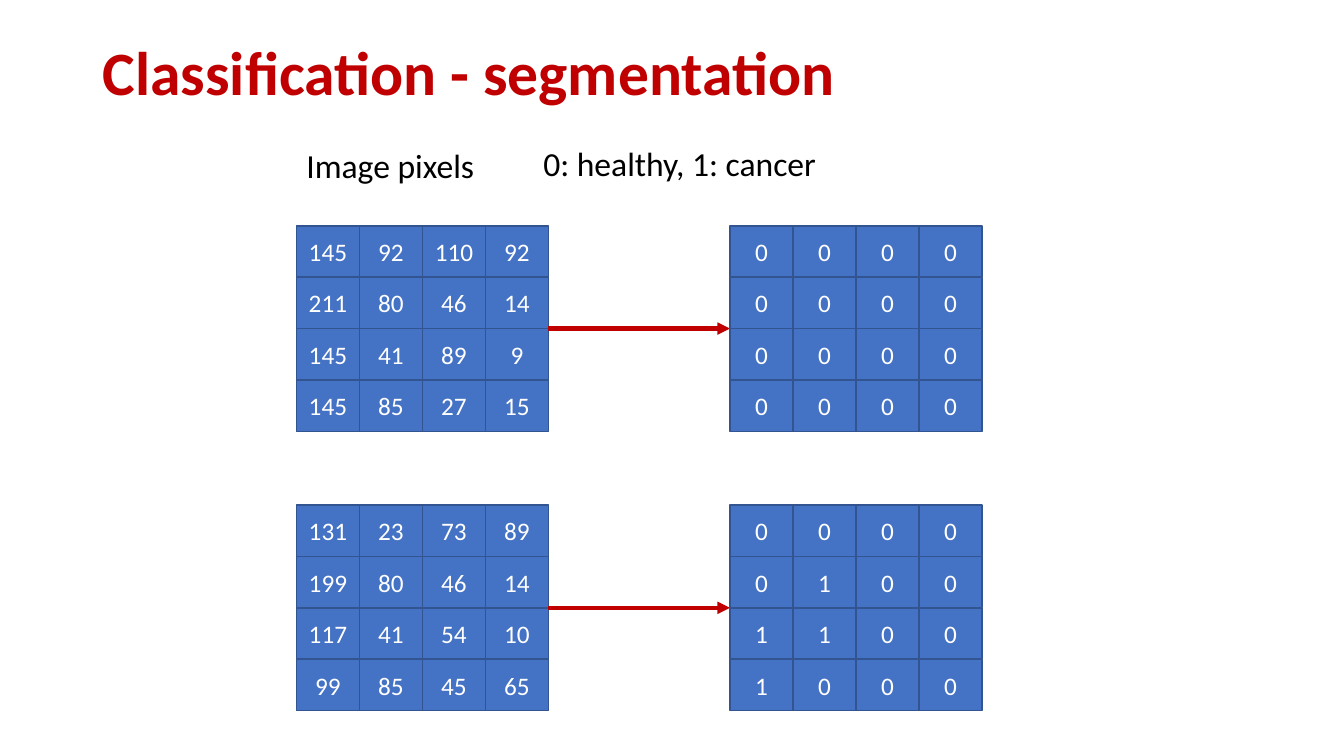
import pptx
import pptx.util
import pptx.dml.color
import pptx.enum.shapes
import pptx.enum.text
import pptx.oxml
import pptx.oxml.ns

Inches = pptx.util.Inches
Pt = pptx.util.Pt
RGBColor = pptx.dml.color.RGBColor
Align = pptx.enum.text.PP_ALIGN
Anchor = pptx.enum.text.MSO_ANCHOR

RED = RGBColor(0xC0, 0x00, 0x00)
BLUE = RGBColor(0x44, 0x72, 0xC4)
NAVY = RGBColor(0x32, 0x54, 0x91)
WHITE = RGBColor(0xFF, 0xFF, 0xFF)
BLACK = RGBColor(0x00, 0x00, 0x00)

CELL_W = 0.625
CELL_H = 0.51

PAIRS = [
    (
        [[145, 92, 110, 92], [211, 80, 46, 14], [145, 41, 89, 9], [145, 85, 27, 15]],
        [[0, 0, 0, 0], [0, 0, 0, 0], [0, 0, 0, 0], [0, 0, 0, 0]],
    ),
    (
        [[131, 23, 73, 89], [199, 80, 46, 14], [117, 41, 54, 10], [99, 85, 45, 65]],
        [[0, 0, 0, 0], [0, 1, 0, 0], [1, 1, 0, 0], [1, 0, 0, 0]],
    ),
]


def style(para, size, color, align=Align.LEFT, bold=False):
    para.alignment = align
    para.font.name = "Calibri"
    para.font.size = Pt(size)
    para.font.color.rgb = color
    para.font.bold = bold


def add_title(slide, left, top, width, height):
    title = slide.shapes.title
    title.left, title.top = Inches(left), Inches(top)
    title.width, title.height = Inches(width), Inches(height)
    frame = title.text_frame
    frame.text = "Classification - segmentation"
    frame.vertical_anchor = Anchor.MIDDLE
    para = frame.paragraphs[0]
    para.line_spacing = 0.9
    style(para, 44, RED, bold=True)


def add_label(slide, text, left, top, width, height):
    box = slide.shapes.add_textbox(
        Inches(left), Inches(top), Inches(width), Inches(height))
    frame = box.text_frame
    frame.text = text
    frame.word_wrap = False
    frame.auto_size = pptx.enum.text.MSO_AUTO_SIZE.SHAPE_TO_FIT_TEXT
    style(frame.paragraphs[0], 24, BLACK)


def add_grid(slide, rows, left, top):
    for i, row in enumerate(rows):
        for j, value in enumerate(row):
            cell = slide.shapes.add_shape(
                pptx.enum.shapes.MSO_SHAPE.RECTANGLE,
                Inches(left + j * CELL_W), Inches(top + i * CELL_H),
                Inches(CELL_W), Inches(CELL_H))
            cell.shadow.inherit = False
            cell.fill.solid()
            cell.fill.fore_color.rgb = BLUE
            cell.line.color.rgb = NAVY
            cell.line.width = Pt(1)
            frame = cell.text_frame
            frame.text = str(value)
            frame.vertical_anchor = Anchor.MIDDLE
            style(frame.paragraphs[0], 18, WHITE, Align.CENTER)


def add_arrow(slide, start, end, y):
    arrow = slide.shapes.add_connector(
        pptx.enum.shapes.MSO_CONNECTOR.STRAIGHT,
        Inches(start), Inches(y), Inches(end), Inches(y))
    arrow.line.color.rgb = RED
    arrow.line.width = Pt(3)
    props = arrow._element.spPr
    line = props.find(pptx.oxml.ns.qn("a:ln"))
    space = pptx.oxml.ns.nsdecls("a")
    line.append(pptx.oxml.parse_xml(f'<a:tailEnd {space} type="triangle"/>'))
    props.append(pptx.oxml.parse_xml(f"<a:effectLst {space}/>"))


def add_pair(slide, pixels, labels, left, top, width):
    edge = left + len(pixels[0]) * CELL_W
    right = left + width - len(labels[0]) * CELL_W
    add_grid(slide, pixels, left, top)
    add_arrow(slide, edge, right, top + len(pixels) * CELL_H / 2)
    add_grid(slide, labels, right, top)


def main():
    deck = pptx.Presentation()
    deck.slide_width, deck.slide_height = Inches(13.33), Inches(7.5)
    slide = deck.slides.add_slide(deck.slide_layouts[5])
    add_title(slide, 0.92, 0.27, 11.5, 0.96)
    add_label(slide, "Image pixels", 2.94, 1.39, 1.88, 0.5)
    add_label(slide, "0: healthy, 1: cancer", 5.29, 1.37, 2.93, 0.5)
    for i, (pixels, labels) in enumerate(PAIRS):
        add_pair(slide, pixels, labels, 2.94, 2.24 + i * 2.77, 6.8)
    deck.save("out.pptx")


if __name__ == "__main__":
    main()
